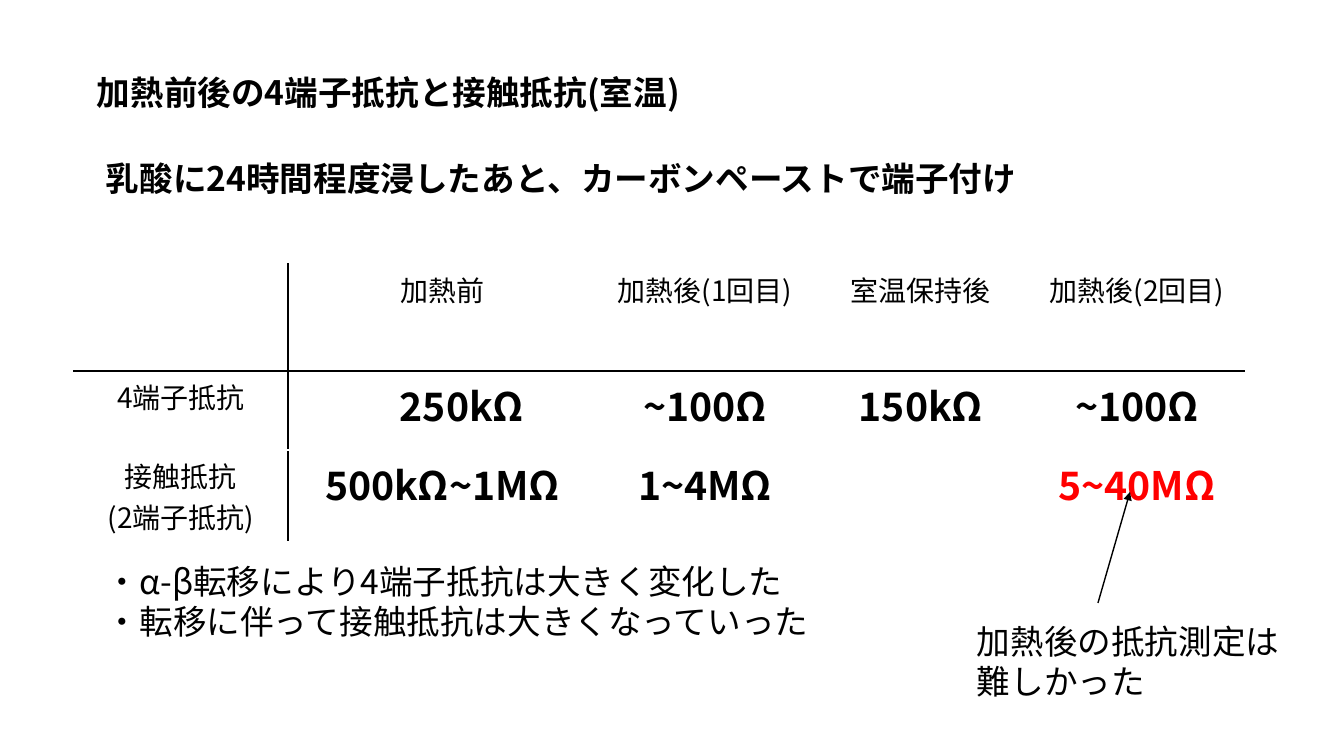
from lxml.etree import SubElement
from pptx import Presentation
from pptx.dml.color import RGBColor
from pptx.enum.shapes import MSO_CONNECTOR as Connector
from pptx.enum.text import MSO_AUTO_SIZE as AutoSize, PP_ALIGN as Align
from pptx.oxml import parse_xml
from pptx.oxml.ns import nsdecls, qn
from pptx.util import Pt

FONT = "Noto Sans CJK JP"
BLACK, WHITE, RED = "000000", "FFFFFF", "FF0000"
PAGE_SIZE = (1344, 756)

# (left, top, width, height), lines, bold
TEXTS = [
    ((87, 67, 677, 50), ["加熱前後の4端子抵抗と接触抵抗(室温)"], True),
    ((96, 153, 1076, 50), ["乳酸に24時間程度浸したあと、カーボンペーストで端子付け"], True),
    ((96, 556, 782, 92), ["・α-β転移により4端子抵抗は大きく変化した",
                          "・転移に伴って接触抵抗は大きくなっていった"], False),
    ((967, 616, 362, 92), ["加熱後の抵抗測定は", "難しかった"], False),
]

TABLE_CORNER = (74, 264)
COLUMNS = [214, 309, 216, 216, 216]
ROWS = [107, 79, 82]
CELLS = [
    ["", "加熱前", "加熱後(1回目)", "室温保持後", "加熱後(2回目)"],
    ["4端子抵抗", "250kΩ", "~100Ω", "150kΩ", "~100Ω"],
    ["接触抵抗\n(2端子抵抗)", "500kΩ~1MΩ", "1~4MΩ", "", "5~40MΩ"],
]
HIGHLIGHT = (2, 4)
SHIFTED, SHIFTED_MARGIN = (1, 1), 49

ARROW = (1098, 603, 1130, 492)


def px(length):
    return round(length * 914400 / 100.8)


def color(code):
    return RGBColor.from_string(code)


def write(frame, lines, size=24, bold=False, fill=BLACK, align=Align.LEFT):
    for index, line in enumerate(lines):
        para = frame.paragraphs[0] if index == 0 else frame.add_paragraph()
        para.alignment = align
        span = para.add_run()
        span.text = line
        font = span.font
        font.size, font.bold, font.name = Pt(size), bold, FONT
        font.color.rgb = color(fill)
        SubElement(font._element, qn("a:ea"), typeface=FONT)


def set_borders(cell, left, right, top, bottom):
    properties = cell._tc.get_or_add_tcPr()
    sides = zip(("lnL", "lnR", "lnT", "lnB"), (left, right, top, bottom))
    for index, (side, code) in enumerate(sides):
        properties.insert(index, parse_xml(
            f'<a:{side} {nsdecls("a")} w="12700"><a:solidFill>'
            f'<a:srgbClr val="{code}"/></a:solidFill></a:{side}>'))


def add_text(page, area, lines, bold):
    box = page.shapes.add_textbox(*map(px, area))
    frame = box.text_frame
    frame.word_wrap = True
    frame.auto_size = AutoSize.SHAPE_TO_FIT_TEXT
    write(frame, lines, bold=bold)


def add_resistances(page):
    size = (sum(COLUMNS), sum(ROWS))
    table = page.shapes.add_table(len(ROWS), len(COLUMNS),
                                  *map(px, TABLE_CORNER + size)).table
    table.first_row = table.horz_banding = False
    for column, width in zip(table.columns, COLUMNS):
        column.width = px(width)
    for row, height in zip(table.rows, ROWS):
        row.height = px(height)
    for r, texts in enumerate(CELLS):
        for c, text in enumerate(texts):
            cell = table.cell(r, c)
            cell.fill.background()
            set_borders(cell,
                        left=BLACK if c == 1 else WHITE,
                        right=BLACK if c == 0 else WHITE,
                        top=BLACK if r == 1 else WHITE,
                        bottom=BLACK if r == 0 else WHITE)
            if (r, c) == SHIFTED:
                cell.margin_left = px(SHIFTED_MARGIN)
            measured = r > 0 and c > 0
            if text:
                write(cell.text_frame, text.split("\n"),
                      size=28 if measured else 20, bold=measured,
                      fill=RED if (r, c) == HIGHLIGHT else BLACK,
                      align=Align.CENTER)


def add_arrow(page):
    arrow = page.shapes.add_connector(Connector.STRAIGHT, *map(px, ARROW))
    arrow.line.width = Pt(1)
    arrow.line.color.rgb = color(BLACK)
    SubElement(arrow.line._get_or_add_ln(), qn("a:tailEnd"), type="triangle")
    SubElement(arrow._element.spPr, qn("a:effectLst"))


def main():
    deck = Presentation()
    deck.slide_width, deck.slide_height = map(px, PAGE_SIZE)
    page = deck.slides.add_slide(deck.slide_layouts[6])
    add_resistances(page)
    add_arrow(page)
    for area, lines, bold in TEXTS:
        add_text(page, area, lines, bold)
    deck.save("out.pptx")


if __name__ == "__main__":
    main()
